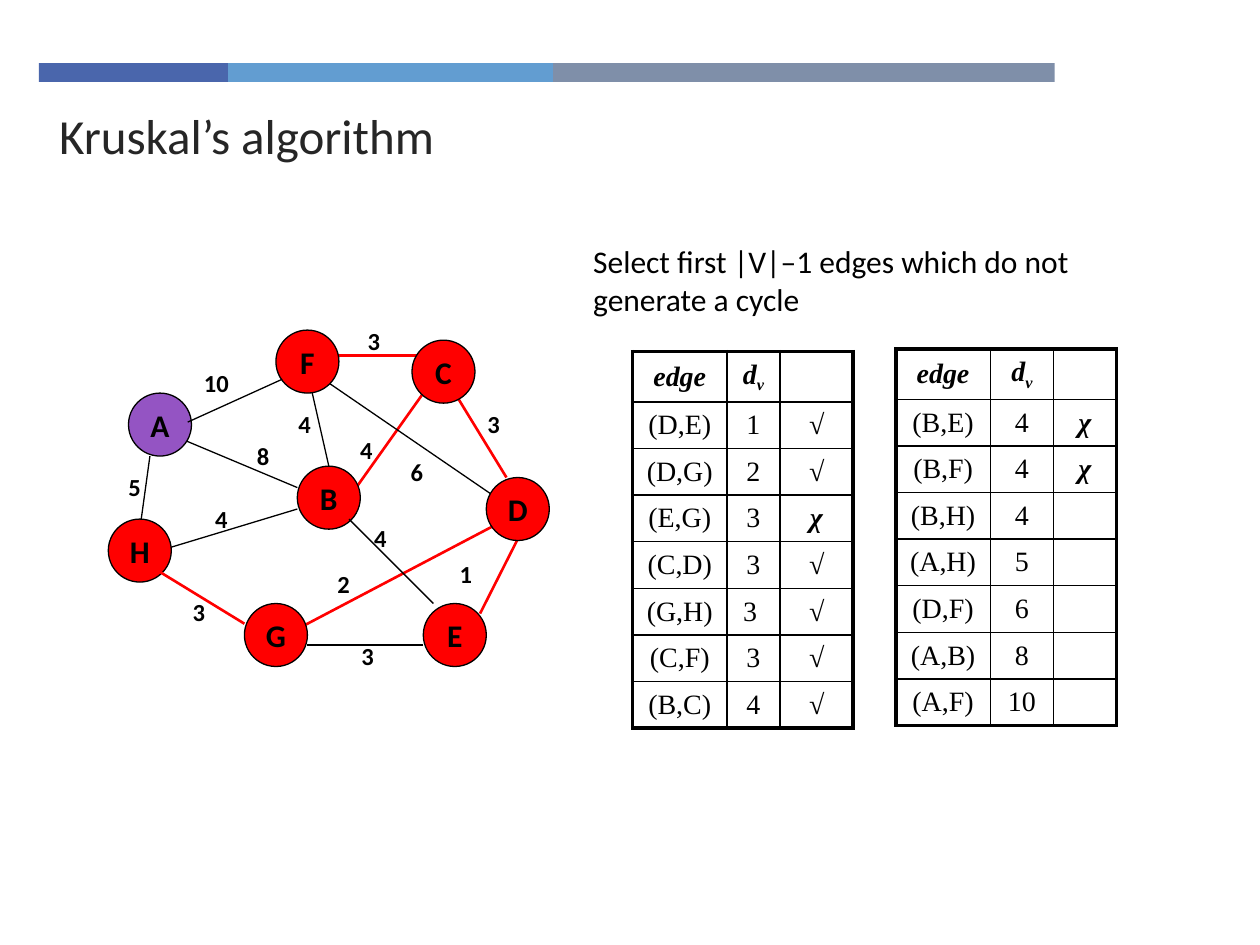
import pptx
import pptx.dml.color
import pptx.enum.shapes
import pptx.enum.text
import pptx.oxml
import pptx.oxml.ns
import pptx.util

Inches = pptx.util.Inches
Pt = pptx.util.Pt
ALIGN = pptx.enum.text.PP_ALIGN
MIDDLE = pptx.enum.text.MSO_ANCHOR.MIDDLE
SHAPE = pptx.enum.shapes.MSO_SHAPE

TITLE = "Kruskal’s algorithm"
INSTRUCTION = "Select first |V|–1 edges which do not generate a cycle"

BANNER = [(1.5, "4A66AC"), (2.58, "629DD1"), (3.98, "7F8FA9")]

NODES = {
    "A": (1.02, 3.12), "H": (0.86, 4.12), "B": (2.36, 3.7), "F": (2.19, 2.62),
    "E": (3.36, 4.79), "D": (3.86, 3.79), "C": (3.27, 2.7), "G": (1.94, 4.79),
}
START_NODE = "A"

EDGES_BEHIND = [
    ((4.23, 4.04), (3.81, 4.87), "1", (3.55, 4.39), True),
    ((2.44, 2.95), (2.61, 3.7), "4", (2.27, 3.2), False),
    ((2.77, 3.95), (3.36, 3.12), "4", (2.76, 3.4), True),
    ((3.94, 3.95), (2.61, 3.04), "6", (3.16, 3.58), False),
    ((1.27, 4.37), (2.36, 4.04), "4", (1.61, 3.95), False),
    ((2.27, 5.04), (4.02, 4.12), "2", (2.58, 4.47), True),
    ((1.11, 4.2), (1.19, 3.62), "5", (0.92, 3.7), False),
    ((1.36, 3.45), (2.36, 3.87), "8", (1.94, 3.45), False),
    ((2.65, 2.82), (3.32, 2.82), "3", (2.82, 2.54), True),
    ((3.61, 3.12), (4.02, 3.79), "3", (3.77, 3.2), True),
]
EDGES_IN_FRONT = [
    ((2.77, 4.12), (3.44, 4.79), "4", (2.87, 4.1), False),
    ((3.36, 5.12), (2.44, 5.12), "3", (2.77, 5.04), False),
    ((1.94, 4.95), (1.27, 4.54), "3", (1.43, 4.69), True),
    ((1.49, 3.35), (2.24, 3.01), "10", (1.52, 2.87), False),
]

TABLES = [
    ((5.02, 2.79), (0.75, 0.42, 0.58), [
        ("(D,E)", "1", "√"), ("(D,G)", "2", "√"), ("(E,G)", "3", "χ"),
        ("(C,D)", "3", "√"), ("(G,H)", "3 ", "√"), ("(C,F)", "3", "√"),
        ("(B,C)", "4", "√"),
    ]),
    ((7.11, 2.77), (0.75, 0.5, 0.5), [
        ("(B,E)", "4", "χ"), ("(B,F)", "4", "χ"), ("(B,H)", "4", ""),
        ("(A,H)", "5", ""), ("(D,F)", "6", ""), ("(A,B)", "8", ""),
        ("(A,F)", "10", ""),
    ]),
]
HEADER_HEIGHT, ROW_HEIGHT = 0.4, 0.37
NODE_SIZE = 0.5

THEME = {
    "ink": "000000", "chosen": "FF0000", "start": "9454C3",
    "thin": 0.75, "thick": 1.5, "grid": 1, "frame": 2.25,
    "title": {"name": "Calibri", "size": Pt(28), "bold": False, "color": "262626"},
    "body": {"name": "Calibri", "size": Pt(18), "color": "000000"},
    "node": {"name": "Calibri", "size": Pt(18), "bold": True, "color": "000000"},
    "weight": {"name": "Calibri", "size": Pt(14), "bold": True, "color": "000000"},
    "cell": {"name": "Times New Roman", "size": Pt(16), "bold": False,
             "italic": False, "color": "000000"},
}
THEME["strong_cell"] = {**THEME["cell"], "bold": True, "italic": True}


def rgb(code):
    return pptx.dml.color.RGBColor.from_string(code)


def write(para, text, style):
    span = para.add_run()
    span.text = text
    for name, value in THEME[style].items():
        if name == "color":
            span.font.color.rgb = rgb(value)
        else:
            setattr(span.font, name, value)
    return span


def add_shape(page, kind, area, fill):
    shape = page.shapes.add_shape(kind, *map(Inches, area))
    shape.shadow.inherit = False
    shape.fill.solid()
    shape.fill.fore_color.rgb = rgb(fill)
    shape.line.fill.background()
    return shape


def add_text(page, area, text, style):
    box = page.shapes.add_textbox(*map(Inches, area))
    box.text_frame.word_wrap = True
    write(box.text_frame.paragraphs[0], text, style)


def add_edges(page, edges):
    for start, end, weight, label, chosen in edges:
        line = page.shapes.add_connector(
            pptx.enum.shapes.MSO_CONNECTOR.STRAIGHT, *map(Inches, start + end))
        line.line.color.rgb = rgb(THEME["chosen" if chosen else "ink"])
        line.line.width = Pt(THEME["thick" if chosen else "thin"])
        properties = line._element.spPr
        properties.append(pptx.oxml.parse_xml(
            f'<a:effectLst {pptx.oxml.ns.nsdecls("a")}/>'))
        add_text(page, (*label, 0.52, 0.33), weight, "weight")


def add_nodes(page):
    for name, corner in NODES.items():
        fill = THEME["start" if name == START_NODE else "chosen"]
        node = add_shape(page, SHAPE.OVAL, (*corner, NODE_SIZE, NODE_SIZE), fill)
        node.line.color.rgb = rgb(THEME["ink"])
        node.line.width = Pt(THEME["thin"])
        node.text_frame.word_wrap = False
        node.text_frame.vertical_anchor = MIDDLE
        para = node.text_frame.paragraphs[0]
        para.alignment = ALIGN.CENTER
        write(para, name, "node")


def border_cell(cell, outer_sides):
    properties = cell._tc.get_or_add_tcPr()
    for side in "LRTB":
        width = Pt(THEME["frame" if outer_sides[side] else "grid"])
        properties.append(pptx.oxml.parse_xml(
            f'<a:ln{side} {pptx.oxml.ns.nsdecls("a")} w="{width}"><a:solidFill>'
            f'<a:srgbClr val="{THEME["ink"]}"/></a:solidFill></a:ln{side}>'))
    cell.fill.background()


def add_edge_table(page, corner, widths, entries):
    rows = [("edge", "d", "")] + entries
    heights = [HEADER_HEIGHT] + [ROW_HEIGHT] * len(entries)
    area = (*corner, sum(widths), sum(heights))
    table = page.shapes.add_table(len(rows), len(widths), *map(Inches, area)).table
    table.first_row = table.horz_banding = False
    for column, width in zip(table.columns, widths):
        column.width = Inches(width)
    for r, (row, height) in enumerate(zip(rows, heights)):
        table.rows[r].height = Inches(height)
        for c, text in enumerate(row):
            cell = table.cell(r, c)
            cell.vertical_anchor = MIDDLE
            cell.margin_top = cell.margin_bottom = Inches(0.02)
            para = cell.text_frame.paragraphs[0]
            para.alignment = ALIGN.CENTER
            if text:
                write(para, text, "strong_cell" if r == 0 or c == 2 else "cell")
            if (r, c) == (0, 1):
                subscript = write(para, "v", "strong_cell")
                subscript.font._element.set("baseline", "-25000")
            border_cell(cell, {"L": c == 0, "R": c == len(widths) - 1,
                               "T": r == 0, "B": r == len(rows) - 1})


def main():
    deck = pptx.Presentation()
    deck.slide_width, deck.slide_height = Inches(10), Inches(7.5)
    page = deck.slides.add_slide(deck.slide_layouts[5])

    left = 0.31
    for width, fill in BANNER:
        add_shape(page, SHAPE.RECTANGLE, (left, 0.5, width, 0.15), fill)
        left += width

    title = page.shapes.title
    placement = zip(("left", "top", "width", "height"), (0.37, 0.8, 7.16, 0.54))
    for name, value in placement:
        setattr(title, name, Inches(value))
    title.text_frame.vertical_anchor = MIDDLE
    heading = title.text_frame.paragraphs[0]
    heading.alignment = ALIGN.LEFT
    write(heading, TITLE, "title")

    add_text(page, (4.61, 1.87, 4.42, 0.77), INSTRUCTION, "body")
    add_edges(page, EDGES_BEHIND)
    add_nodes(page)
    add_edges(page, EDGES_IN_FRONT)
    for corner, widths, entries in TABLES:
        add_edge_table(page, corner, widths, entries)
    deck.save("out.pptx")


if __name__ == "__main__":
    main()
